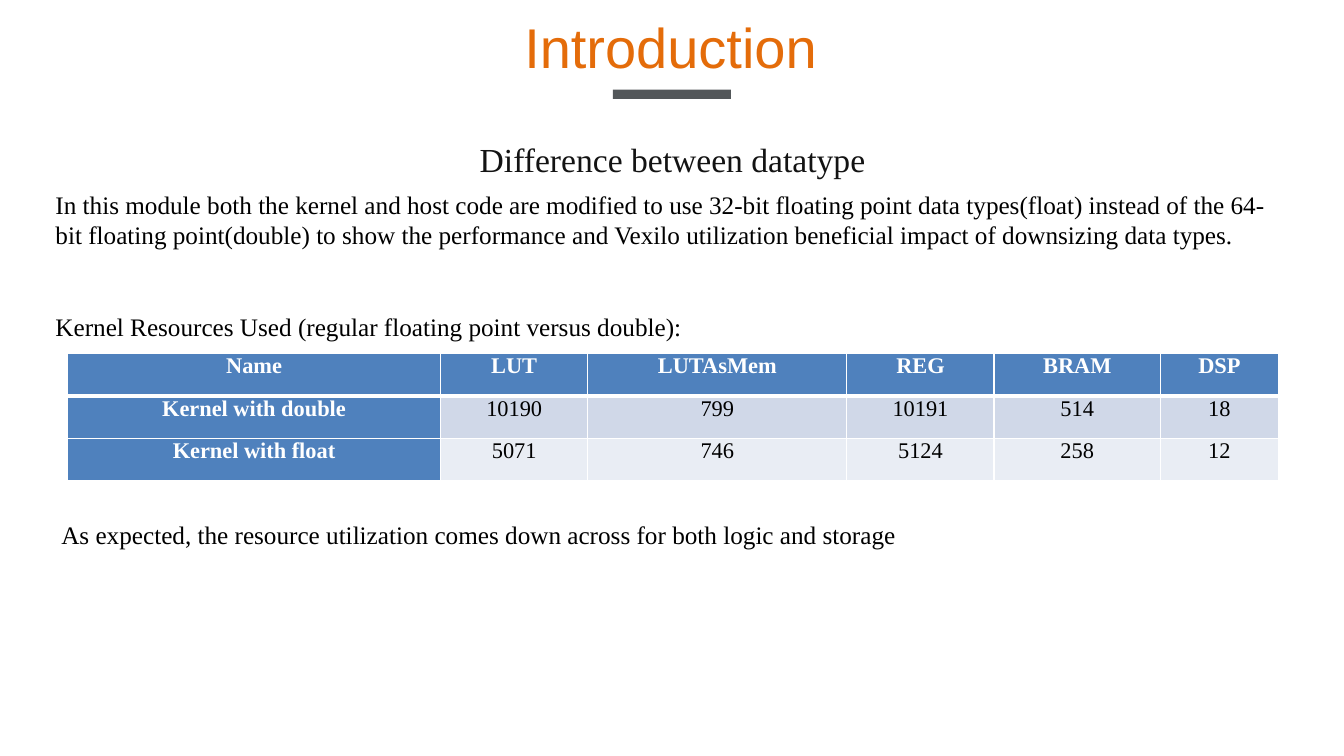
from lxml import etree
from pptx import Presentation
from pptx.dml.color import RGBColor
from pptx.enum import shapes, text
from pptx.oxml import ns
from pptx.util import Inches, Pt

ORANGE = RGBColor(0xE4, 0x6C, 0x0A)
INK = RGBColor(0x13, 0x13, 0x13)
BLACK = RGBColor(0, 0, 0)
WHITE = RGBColor(0xFF, 0xFF, 0xFF)
GREY = RGBColor(0x53, 0x57, 0x5A)
BLUE = RGBColor(0x4F, 0x81, 0xBD)
BANDS = [RGBColor(0xD0, 0xD8, 0xE8), RGBColor(0xE9, 0xED, 0xF4)]

SERIF = "Times New Roman"
TITLE_FONT = {"name": "Arial", "size": Pt(40), "bold": False}
HEADING_FONT = {"name": SERIF, "size": Pt(24), "bold": False}
BODY_FONT = {"name": SERIF, "size": Pt(18), "bold": False}
HEAD_CELL_FONT = {"name": SERIF, "size": Pt(16), "bold": True}
CELL_FONT = {**HEAD_CELL_FONT, "bold": False}
MARGINS = {"margin_left": Inches(0.07), "margin_right": Inches(0.07),
           "margin_top": 0, "margin_bottom": 0}

TITLE = "Introduction"
HEADING = "Difference between datatype"
BODY = [
    ("In this module both the kernel and host code are modified to use 32-bit floating point "
     "data types(float) instead of the 64-bit floating point(double) to show the performance "
     "and Vexilo utilization beneficial impact of downsizing data types.", 0),
    ("Kernel Resources Used (regular floating point versus double):", 44),
]
CLOSING = "As expected, the resource utilization comes down across for both logic and storage"
RESOURCES = [
    ("Name", "LUT", "LUTAsMem", "REG", "BRAM", "DSP"),
    ("Kernel with double", "10190", "799", "10191", "514", "18"),
    ("Kernel with float", "5071", "746", "5124", "258", "12"),
]
COL_WIDTHS = [3.7, 1.46, 2.57, 1.46, 1.65, 1.17]
ROW_HEIGHT = 0.42


def box(left, top, width, height):
    return [Inches(v) for v in (left, top, width, height)]


def place(s, left, top, width, height):
    s.left, s.top, s.width, s.height = box(left, top, width, height)


def write(p, words, font, color, align=text.PP_ALIGN.LEFT):
    p.alignment = align
    r = p.add_run()
    r.text = words
    for name, value in font.items():
        setattr(r.font, name, value)
    r.font.color.rgb = color


def set_frame(tf, wrap):
    tf.word_wrap = wrap
    tf.auto_size = text.MSO_AUTO_SIZE.NONE if wrap else text.MSO_AUTO_SIZE.SHAPE_TO_FIT_TEXT
    tf.vertical_anchor = text.MSO_ANCHOR.TOP


def add_text(slide, words, font, color, wrap, *place_at):
    tf = slide.shapes.add_textbox(*box(*place_at)).text_frame
    set_frame(tf, wrap)
    write(tf.paragraphs[0], words, font, color)


def add_borders(cell, widths):
    tc_pr = cell._tc.get_or_add_tcPr()
    for side, width in widths.items():
        ln = etree.SubElement(tc_pr, ns.qn(f"a:ln{side}"), w=str(Pt(width)))
        fill = etree.SubElement(ln, ns.qn("a:solidFill"))
        etree.SubElement(fill, ns.qn("a:srgbClr"), val=str(WHITE))


def add_resources(slide, left, top):
    rows, cols = len(RESOURCES), len(COL_WIDTHS)
    table = slide.shapes.add_table(
        rows, cols, *box(left, top, sum(COL_WIDTHS), rows * ROW_HEIGHT)).table
    for column, width in zip(table.columns, COL_WIDTHS):
        column.width = Inches(width)
    for i, values in enumerate(RESOURCES):
        table.rows[i].height = Inches(ROW_HEIGHT)
        for j, value in enumerate(values):
            cell = table.cell(i, j)
            head = i == 0 or j == 0
            for name, margin in MARGINS.items():
                setattr(cell, name, margin)
            add_borders(cell, {"L": 1, "R": 1, "T": 3 if i == 1 else 1, "B": 3 if i == 0 else 1})
            cell.fill.solid()
            cell.fill.fore_color.rgb = BLUE if head else BANDS[(i - 1) % 2]
            write(cell.text_frame.paragraphs[0], value,
                  HEAD_CELL_FONT if head else CELL_FONT,
                  WHITE if head else BLACK, text.PP_ALIGN.CENTER)


def main():
    prs = Presentation()
    prs.slide_width, prs.slide_height = Inches(13.33), Inches(7.5)
    slide = prs.slides.add_slide(prs.slide_layouts[1])

    title, body = slide.placeholders
    place(title, 5.1, 0.07, 3.13, 0.77)
    set_frame(title.text_frame, False)
    write(title.text_frame.paragraphs[0], TITLE, TITLE_FONT, ORANGE)

    place(body, 0.45, 1.83, 12.44, 1.92)
    tf = body.text_frame
    set_frame(tf, True)
    for i, (words, gap) in enumerate(BODY):
        p = tf.add_paragraph() if i else tf.paragraphs[0]
        write(p, words, BODY_FONT, BLACK)
        p.space_before = Pt(gap)
        p_pr = p._p.get_or_add_pPr()
        p_pr.set("marL", "0")
        p_pr.set("indent", "0")
        etree.SubElement(p_pr, ns.qn("a:buNone"))

    add_text(slide, HEADING, HEADING_FONT, INK, False, 4.66, 1.33, 4.06, 0.5)
    add_text(slide, CLOSING, BODY_FONT, BLACK, True, 0.51, 5.1, 10.83, 0.4)

    bar = slide.shapes.add_shape(shapes.MSO_SHAPE.RECTANGLE, *box(6.08, 0.89, 1.17, 0.09))
    bar.shadow.inherit = False
    bar.fill.solid()
    bar.fill.fore_color.rgb = GREY
    bar.line.fill.background()

    add_resources(slide, 0.67, 3.51)
    prs.save("out.pptx")


if __name__ == "__main__":
    main()
